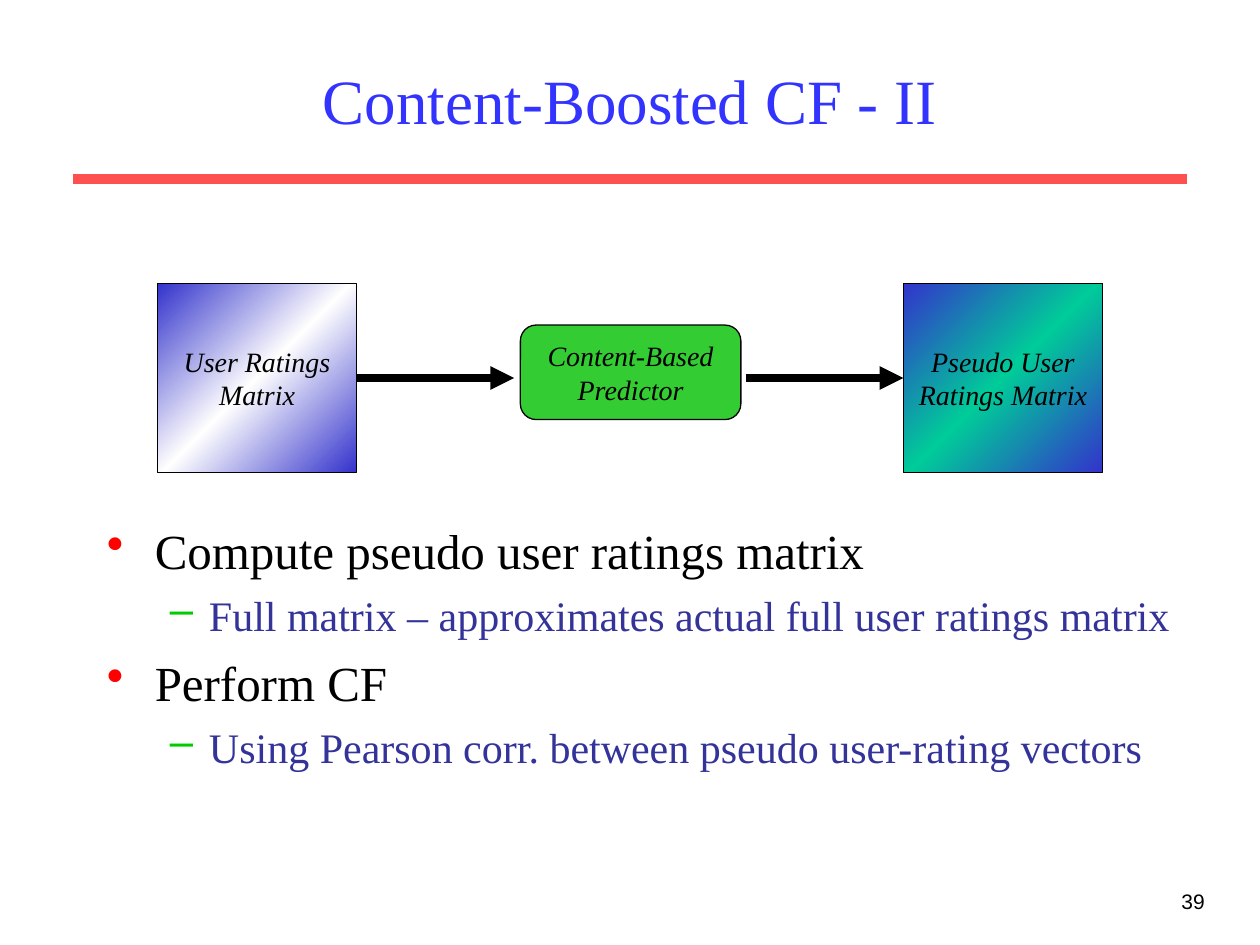
from copy import deepcopy
from dataclasses import dataclass

from lxml.etree import SubElement
from pptx import Presentation
from pptx.dml.color import RGBColor as RGB
from pptx.enum.shapes import MSO_CONNECTOR as CONN, MSO_SHAPE as SHAPE
from pptx.enum.text import MSO_ANCHOR as ANCHOR, PP_ALIGN as ALIGN
from pptx.oxml.ns import qn
from pptx.util import Inches, Pt


@dataclass(frozen=True)
class Theme:
    """Fonts, colours and type sizes of the slide."""
    serif: str = "Times New Roman"
    sans: str = "Arial"
    title: str = "3333FF"
    rule: str = "FF5050"
    ink: str = "000000"
    detail: str = "333399"
    bullet: str = "FF0000"
    dash: str = "00CC00"
    edge: str = "3333CC"
    white: str = "FFFFFF"
    teal: str = "00CC99"
    green: str = "33CC33"
    title_size: int = 36
    point_size: int = 28
    detail_size: int = 24
    label_size: int = 16
    number_size: int = 12


THEME = Theme()


def rgb(color):
    """Turn a hex string into a colour."""
    return RGB.from_string(color)


def style(p, size, color, font=THEME.serif, align=ALIGN.LEFT, italic=None):
    """Format a paragraph and its runs."""
    p.alignment = align
    for r in p.runs:
        r.font.name, r.font.size, r.font.italic = font, Pt(size), italic
        r.font.color.rgb = rgb(color)


def add_text(s, box, text, anchor=ANCHOR.TOP):
    """Add a wrapping text box and return its text frame."""
    tf = s.shapes.add_textbox(*map(Inches, box)).text_frame
    tf.word_wrap, tf.vertical_anchor = True, anchor
    tf.text = text
    return tf


def add_bullet(p, level, char, color, left, hang, before):
    """Give a paragraph a coloured bullet with a hanging indent."""
    p.level, p.space_before = level, Pt(before)
    pPr = p._p.get_or_add_pPr()
    pPr.set("marL", str(Inches(left)))
    pPr.set("indent", str(-Inches(hang)))
    clr = SubElement(pPr, qn("a:buClr"))
    SubElement(clr, qn("a:srgbClr")).set("val", color)
    SubElement(pPr, qn("a:buChar")).set("char", char)


def add_outline(s, box, items):
    """Add the two-level bullet list."""
    tf = add_text(s, box, "\n".join(text for _, text in items))
    for p, (level, _) in zip(tf.paragraphs, items):
        if level:
            style(p, THEME.detail_size, THEME.detail)
            add_bullet(p, level, "–", THEME.dash, 0.81, 0.31, 6)
        else:
            style(p, THEME.point_size, THEME.ink)
            add_bullet(p, level, "•", THEME.bullet, 0.38, 0.38, 7)


def add_node(s, kind, box, text):
    """Add an outlined shape with a centred italic label."""
    sp = s.shapes.add_shape(kind, *map(Inches, box))
    sp.shadow.inherit = False
    sp.line.color.rgb, sp.line.width = rgb(THEME.ink), Pt(0.75)
    tf = sp.text_frame
    tf.word_wrap, tf.vertical_anchor = False, ANCHOR.MIDDLE
    tf.text = text
    for p in tf.paragraphs:
        style(p, THEME.label_size, THEME.ink, align=ALIGN.CENTER, italic=True)
    return sp


def add_matrix(s, left, text, middle):
    """Add a square node with a diagonal three-stop gradient."""
    sp = add_node(s, SHAPE.RECTANGLE, (left, 2.25, 1.58, 1.5), text)
    fill = sp.fill
    fill.gradient()
    fill.gradient_angle = 315
    for stop in fill.gradient_stops:
        stop.color.rgb = rgb(THEME.edge)
    stops = sp._element.spPr.find(qn("a:gradFill")).find(qn("a:gsLst"))
    center = deepcopy(stops[0])
    center.set("pos", "50000")
    stops.insert(1, center)
    fill.gradient_stops[1].color.rgb = rgb(middle)
    return sp


def add_line(s, x1, x2, y, color, width):
    """Add a horizontal line without a shadow."""
    line = s.shapes.add_connector(CONN.STRAIGHT, *map(Inches, (x1, y, x2, y)))
    line.line.color.rgb, line.line.width = rgb(color), Pt(width)
    SubElement(line._element.spPr, qn("a:effectLst"))
    return line


def add_arrow(s, x1, x2):
    """Add a flow arrow pointing right."""
    arrow = add_line(s, x1, x2, 3, THEME.ink, 4.5)
    SubElement(arrow.line._get_or_add_ln(), qn("a:tailEnd")).set("type", "triangle")
    return arrow


def main():
    """Build and save the slide."""
    prs = Presentation()
    prs.slide_width, prs.slide_height = Inches(10), Inches(7.5)
    s = prs.slides.add_slide(prs.slide_layouts[6])

    add_line(s, 0.58, 9.42, 1.42, THEME.rule, 6)
    number = add_text(s, (7.58, 7, 2.08, 0.5), "39")
    style(number.paragraphs[0], THEME.number_size, THEME.ink, THEME.sans, ALIGN.RIGHT)
    title = add_text(s, (0.75, 0.25, 8.5, 1.08), "Content-Boosted CF - II", ANCHOR.MIDDLE)
    style(title.paragraphs[0], THEME.title_size, THEME.title, align=ALIGN.CENTER)
    add_outline(s, (0.75, 4.08, 8.75, 2.68), [
        (0, "Compute pseudo user ratings matrix"),
        (1, "Full matrix – approximates actual full user ratings matrix"),
        (0, "Perform CF"),
        (1, "Using Pearson corr. between pseudo user-rating vectors"),
    ])

    ratings = add_matrix(s, 1.25, "User Ratings\nMatrix", THEME.white)
    pseudo = add_matrix(s, 7.17, "Pseudo User\nRatings Matrix", THEME.teal)
    predictor = add_node(s, SHAPE.ROUNDED_RECTANGLE, (4.13, 2.58, 1.75, 0.75),
                         "Content-Based\nPredictor")
    predictor.fill.solid()
    predictor.fill.fore_color.rgb = rgb(THEME.green)
    add_arrow(s, 2.83, 4.08).begin_connect(ratings, 3)
    add_arrow(s, 5.92, 7.17).end_connect(pseudo, 1)

    prs.save("out.pptx")


if __name__ == "__main__":
    main()
